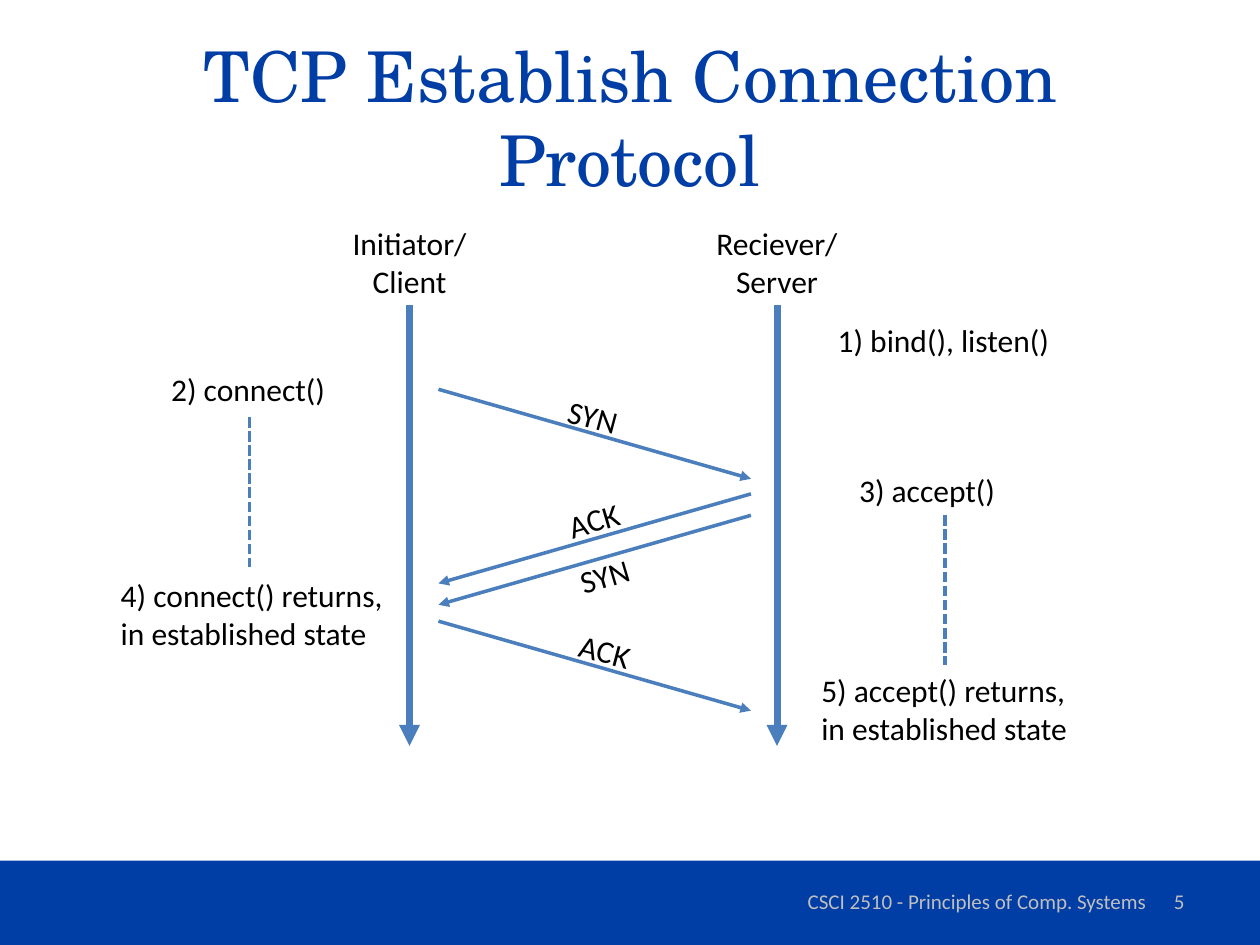
from pptx import Presentation
from pptx.dml.color import RGBColor
from pptx.enum.dml import MSO_LINE
from pptx.enum.shapes import MSO_CONNECTOR, MSO_SHAPE
from pptx.enum.text import MSO_ANCHOR, MSO_AUTO_SIZE, PP_ALIGN
from pptx.oxml.ns import qn
from pptx.util import Inches, Pt
from lxml import etree

LEFT, MID, RIGHT = PP_ALIGN.LEFT, PP_ALIGN.CENTER, PP_ALIGN.RIGHT
TOP, HALF = MSO_ANCHOR.TOP, MSO_ANCHOR.MIDDLE
FIT, FIXED = MSO_AUTO_SIZE.SHAPE_TO_FIT_TEXT, MSO_AUTO_SIZE.NONE
DASH = MSO_LINE.SQUARE_DOT
STRAIGHT = MSO_CONNECTOR.STRAIGHT
RECT = MSO_SHAPE.RECTANGLE
NAVY, BLUE, GRAY, BLACK = "003DA5", "4B7EBC", "BFBFBF", "000000"

deck = Presentation()
deck.slide_width, deck.slide_height = Inches(10), Inches(7.5)
slide = deck.slides.add_slide(deck.slide_layouts[6])
shapes = slide.shapes
cell = deck.slide_width / 100


def write(text, x, y, w, h, size=18, face="Calibri", tint=BLACK,
          align=LEFT, anchor=TOP, wrap=False, turn=0):
    box = shapes.add_textbox(*(round(n * cell) for n in (x, y, w, h)))
    box.rotation = turn
    frame = box.text_frame
    frame.word_wrap = wrap
    frame.auto_size = FIXED if wrap else FIT
    frame.vertical_anchor = anchor
    para = frame.paragraphs[0]
    para.text = text
    para.alignment = align
    for run in para.runs:
        run.font.size = Pt(size)
        run.font.name = face
        run.font.color.rgb = RGBColor.from_string(tint)


def draw(x1, y1, x2, y2, width=2, dash=None):
    line = shapes.add_connector(STRAIGHT, *(round(n * cell) for n in (x1, y1, x2, y2)))
    line.line.color.rgb = RGBColor.from_string(BLUE)
    line.line.width = Pt(width)
    props = line._element.spPr
    if dash:
        line.line.dash_style = dash
    else:
        etree.SubElement(props.find(qn("a:ln")), qn("a:tailEnd"), type="triangle")
    etree.SubElement(props, qn("a:effectLst"))


band = shapes.add_shape(RECT, 0, round(68.3 * cell), deck.slide_width, round(6.7 * cell))
band.shadow.inherit = False
band.fill.solid()
band.fill.fore_color.rgb = RGBColor.from_string(NAVY)
band.line.fill.background()

write("TCP Establish Connection Protocol", 5, 3, 90, 12.5, size=40,
      face="TeX Gyre Schola", tint=NAVY, align=MID, anchor=HALF, wrap=True)
for text, x, w, align in (
    ("CSCI 2510 - Principles of Comp. Systems", 61.7, 31.7, MID),
    ("5", 71.7, 23.3, RIGHT),
):
    write(text, x, 69.5, w, 4, size=12, tint=GRAY, align=align, anchor=HALF, wrap=True)

for text, x, w in (("Initiator/\nClient", 32.5, 11.2), ("Reciever/\nServer", 61.67, 11.7)):
    draw(x, 24.2, x, 59.2, width=4)
    write(text, x - w / 2, 17.3, w, 7.1, align=MID)

for text, x, y, w, h in (
    ("1) bind(), listen()", 65.5, 25, 19, 4),
    ("2) connect()", 12.6, 28.9, 14.4, 4),
    ("3) accept()", 67.2, 36.9, 13, 4),
    ("4) connect() returns,\nin established state", 8.6, 45.2, 23.1, 7.1),
    ("5) accept() returns,\nin established state", 64.2, 52.8, 21.6, 7.1),
):
    write(text, x, y, w, h)

for x, y in ((19.8, 33.1), (75, 40.9)):
    draw(x, y, x, y + 11.9, dash=DASH)

near, far, drop = 34.8, 59.6, 7.1
for start, end, y, text, x, top, turn in (
    (near, far, 30.9, "SYN", 44.1, 31.1, 14.8),
    (far, near, 39.2, "ACK", 44.1, 39.2, -16.6),
    (far, near, 40.9, "SYN", 45, 43.6, -16.6),
    (near, far, 49.3, "ACK", 45, 49.7, 14.8),
):
    draw(start, y, end, y + drop)
    write(text, x, top, 6.4, 4, turn=turn)

deck.save("out.pptx")
